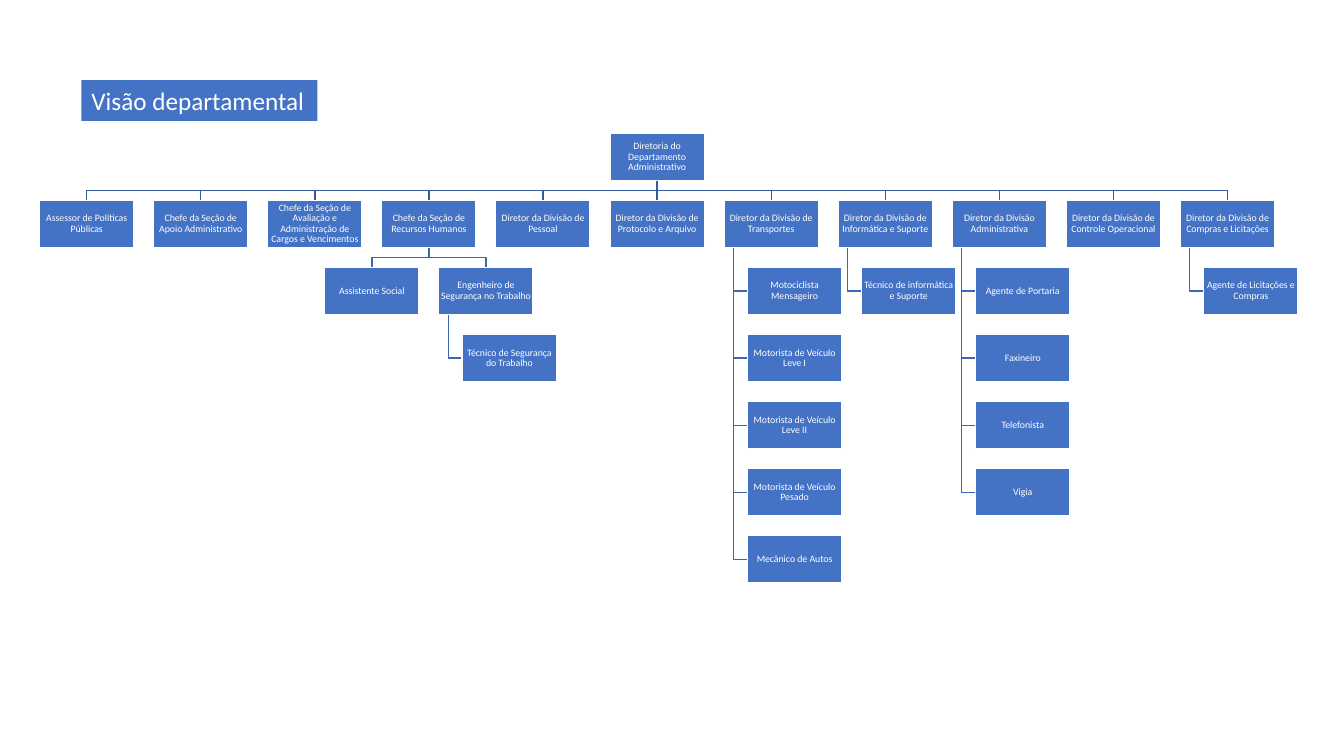
from dataclasses import dataclass, field

from lxml import etree
from pptx import Presentation, util as u
from pptx.dml.color import RGBColor
from pptx.enum import shapes, text
from pptx.oxml.ns import qn

BLUE = RGBColor(0x44, 0x72, 0xC4)
TOP_LINE = RGBColor(0x34, 0x59, 0x9C)
LOWER_LINE = RGBColor(0x3D, 0x67, 0xB1)
WHITE = RGBColor(0xFF, 0xFF, 0xFF)

BOX_WIDTH = u.Cm(2.38)
BOX_HEIGHT = u.Cm(1.19)
COLUMN_STEP = u.Cm(28.75) // 10
ROW_STEP = u.Cm(1.69)
INDENT = u.Cm(0.59)
STEM = u.Cm(0.24)


@dataclass
class Post:
    name: str
    reports: list = field(default_factory=list)
    hanging: bool = True


def hang(name, *reports):
    return Post(name, [Post(report) for report in reports])


SAFETY = hang("Engenheiro de Segurança no Trabalho", "Técnico de Segurança do Trabalho")
DEPARTMENT = Post("Diretoria do Departamento Administrativo", [
    Post("Assessor de Políticas Públicas"),
    Post("Chefe da Seção de Apoio Administrativo"),
    Post("Chefe da Seção de Avaliação e Administração de Cargos e Vencimentos"),
    Post("Chefe da Seção de Recursos Humanos",
         [Post("Assistente Social"), SAFETY], hanging=False),
    Post("Diretor da Divisão de Pessoal"),
    Post("Diretor da Divisão de Protocolo e Arquivo"),
    hang("Diretor da Divisão de Transportes", "Motociclista Mensageiro",
         "Motorista de Veículo Leve I", "Motorista de Veículo Leve II",
         "Motorista de Veículo Pesado", "Mecânico de Autos"),
    hang("Diretor da Divisão de Informática e Suporte", "Técnico de informática e Suporte"),
    hang("Diretor da Divisão Administrativa", "Agente de Portaria", "Faxineiro",
         "Telefonista", "Vigia"),
    Post("Diretor da Divisão de Controle Operacional"),
    hang("Diretor da Divisão de Compras e Licitações", "Agente de Licitações e Compras"),
], hanging=False)


class OrgChart:
    font = "Calibri"

    def __init__(self, slide):
        self.slide = slide

    def style_text(self, shape, size):
        for para in shape.text_frame.paragraphs:
            for span in para.runs:
                span.font.name = self.font
                span.font.size = u.Pt(size)
                span.font.color.rgb = WHITE

    def title(self, words, left, top, width, height):
        title = self.slide.shapes.title
        title.left, title.top, title.width, title.height = left, top, width, height
        title.fill.solid()
        title.fill.fore_color.rgb = BLUE
        frame = title.text_frame
        frame.text = words
        frame.word_wrap = True
        frame.auto_size = text.MSO_AUTO_SIZE.NONE
        frame.vertical_anchor = text.MSO_ANCHOR.TOP
        frame.paragraphs[0].alignment = text.PP_ALIGN.LEFT
        self.style_text(title, 18)

    def box(self, words, left, top):
        box = self.slide.shapes.add_shape(
            shapes.MSO_SHAPE.RECTANGLE, left, top, BOX_WIDTH, BOX_HEIGHT)
        box.shadow.inherit = False
        box.fill.solid()
        box.fill.fore_color.rgb = BLUE
        box.line.color.rgb = WHITE
        box.line.width = u.Pt(1)
        frame = box.text_frame
        frame.text = words
        frame.word_wrap = True
        frame.vertical_anchor = text.MSO_ANCHOR.MIDDLE
        frame.margin_left = frame.margin_right = frame.margin_top = frame.margin_bottom = 0
        para = frame.paragraphs[0]
        para.alignment = text.PP_ALIGN.CENTER
        para.line_spacing = 0.9
        para.space_after = u.Pt(3)
        self.style_text(box, 7)

    def link(self, points, color):
        start, end = points[0], points[-1]
        if start[0] == end[0]:
            link = self.slide.shapes.add_connector(
                shapes.MSO_CONNECTOR.STRAIGHT, *start, *end)
            etree.SubElement(link._element.spPr, qn("a:effectLst"))
        else:
            builder = self.slide.shapes.build_freeform(*start)
            builder.add_line_segments(points[1:], close=False)
            link = builder.convert_to_shape()
            link.fill.background()
            link.shadow.inherit = False
        link.line.color.rgb = color
        link.line.width = u.Pt(1)

    def branch(self, post, left, top, color=TOP_LINE):
        placed = [(post.name, left, top)]
        bottom = top + BOX_HEIGHT
        center = left + BOX_WIDTH // 2
        first = left - COLUMN_STEP * (len(post.reports) - 1) // 2
        for index, report in enumerate(post.reports):
            if post.hanging:
                child_left = left + INDENT
                child_top = top + ROW_STEP * (index + 1)
                middle = child_top + BOX_HEIGHT // 2
                points = [(left + STEM, bottom), (left + STEM, middle), (child_left, middle)]
            else:
                child_left = first + COLUMN_STEP * index
                child_top = top + ROW_STEP
                child_center = child_left + BOX_WIDTH // 2
                middle = (bottom + child_top) // 2
                points = [(center, bottom), (center, middle),
                          (child_center, middle), (child_center, child_top)]
            self.link(points, color)
            placed += self.branch(report, child_left, child_top, LOWER_LINE)
        return placed


def main():
    deck = Presentation()
    deck.slide_width = u.Cm(33.87)
    deck.slide_height = u.Cm(19.05)
    page = deck.slides.add_slide(deck.slide_layouts.get_by_name("Title Only"))
    chart = OrgChart(page)
    chart.title("Visão departamental", u.Cm(2.05), u.Cm(2.02), u.Cm(5.95), u.Cm(1.03))
    for name, left, top in chart.branch(DEPARTMENT, u.Cm(15.37), u.Cm(3.36)):
        chart.box(name, left, top)
    deck.save("out.pptx")


if __name__ == "__main__":
    main()
